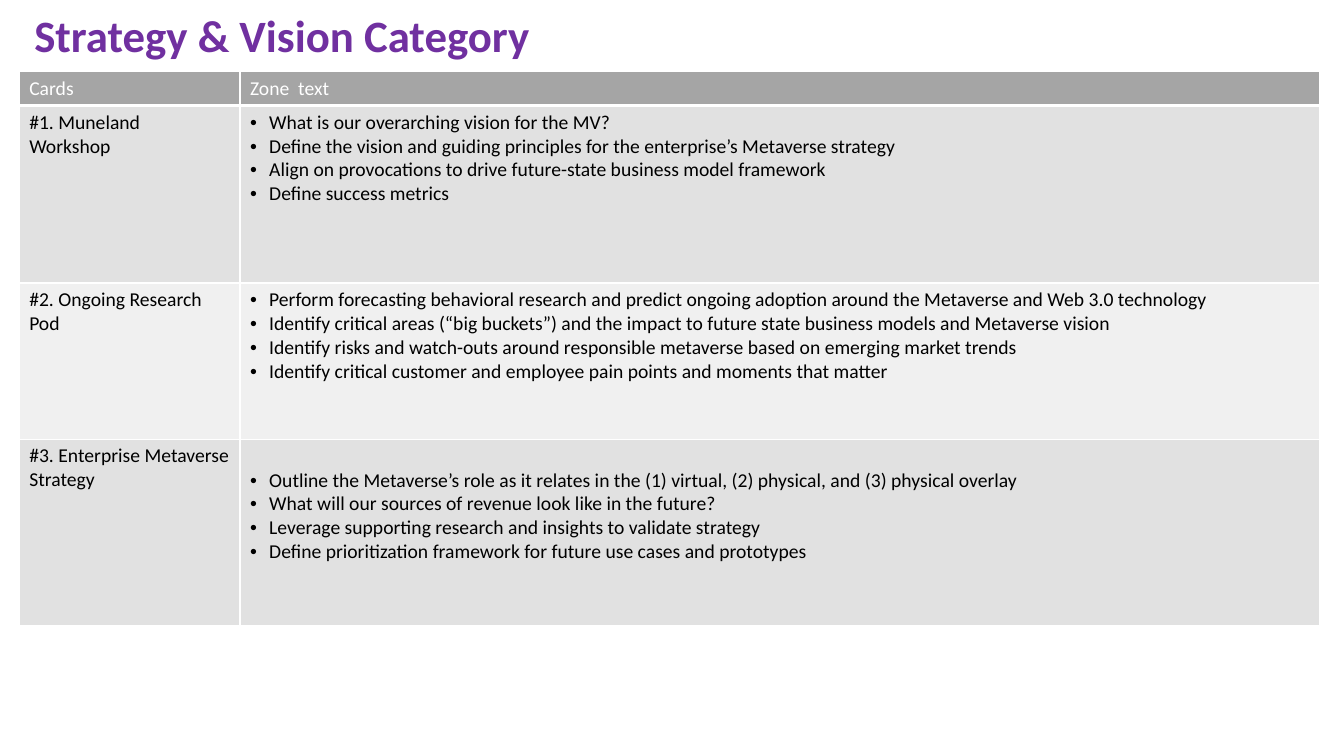
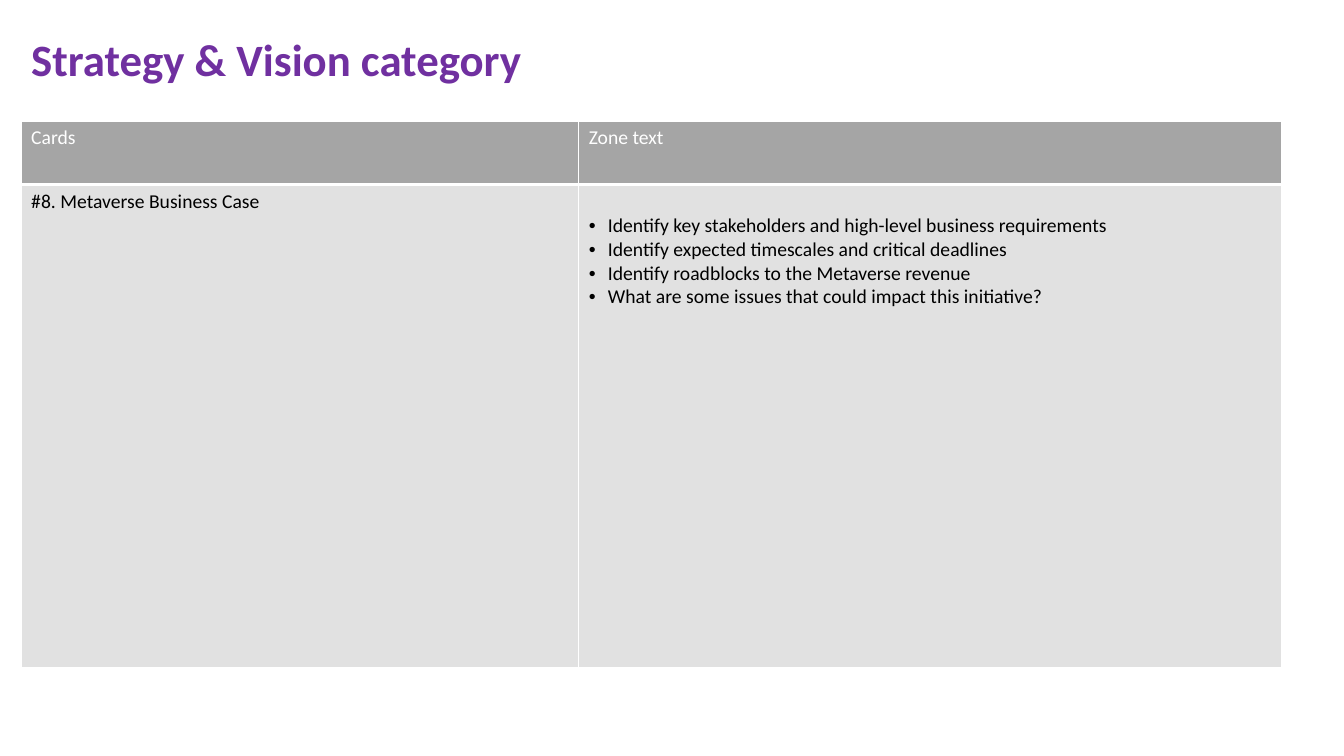
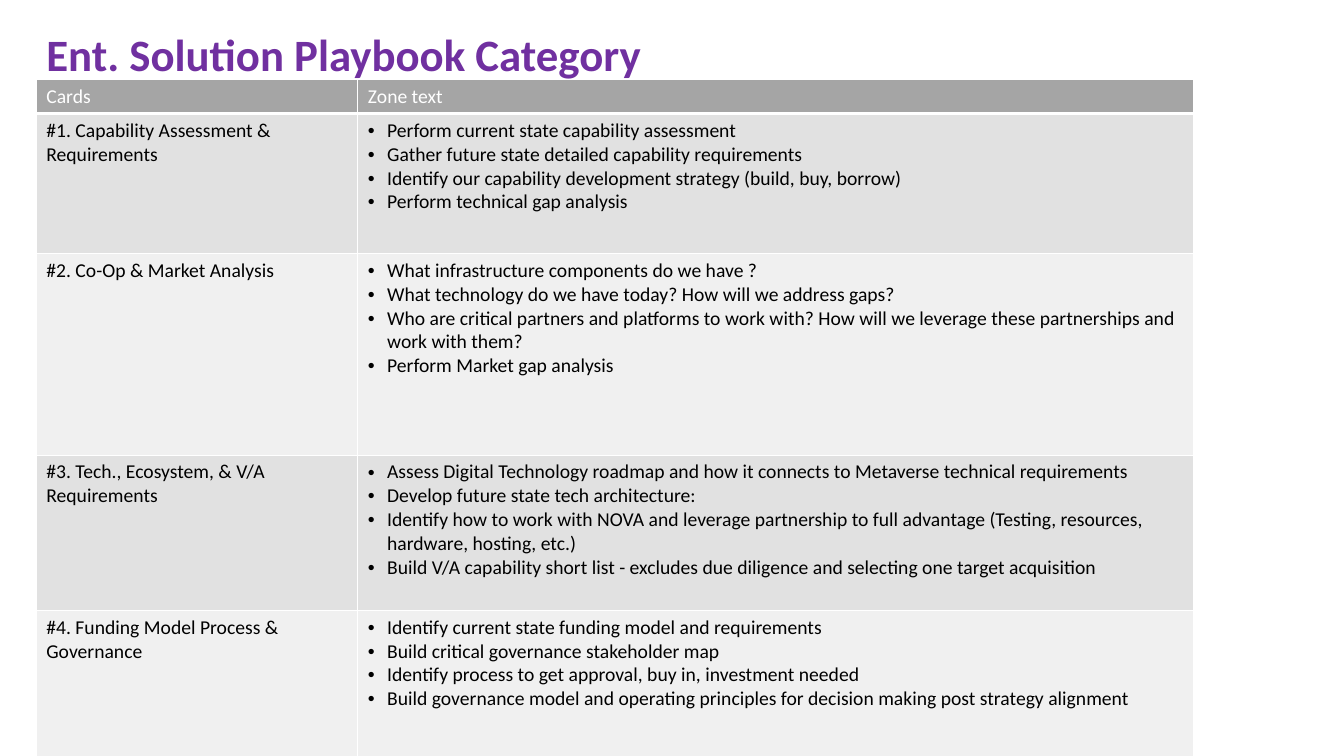
from lxml import etree
from pptx import Presentation
from pptx.dml.color import RGBColor
from pptx.enum.text import MSO_ANCHOR, MSO_AUTO_SIZE, PP_ALIGN
from pptx.oxml.ns import qn
from pptx.util import Inches, Pt

LEFT = PP_ALIGN.LEFT
MIDDLE = MSO_ANCHOR.MIDDLE
NO_AUTOFIT = MSO_AUTO_SIZE.NONE

PURPLE = RGBColor(0x70, 0x30, 0xA0)
WHITE = RGBColor(0xFF, 0xFF, 0xFF)
BLACK = RGBColor(0, 0, 0)
HEADER_GREY = RGBColor(0xA5, 0xA5, 0xA5)
BAND_GREYS = (RGBColor(0xE1, 0xE1, 0xE1), RGBColor(0xF0, 0xF0, 0xF0))

FONT = "Calibri"
TITLE_ONLY = 5
TITLE_SIZE = (12.5, 0.88)
BULLET_INDENT = 0.19
CELL_TOP = 0.05
LOWERED_TOP = 0.29  # top margin plus one line of text

# Each card: name, zone items, top margin of the zone cell
VISION_CARDS = [
    ("#1. Muneland\nWorkshop", [
        "What is our overarching vision for the MV?",
        "Define the vision and guiding principles for the enterprise’s Metaverse strategy",
        "Align on provocations to drive future-state business model framework",
        "Define success metrics",
    ], CELL_TOP),
    ("#2. Ongoing Research Pod", [
        "Perform forecasting behavioral research and predict ongoing adoption "
        "around the Metaverse and Web 3.0 technology",
        "Identify critical areas (“big buckets”) and the impact to future state "
        "business models and Metaverse vision",
        "Identify risks and watch-outs around responsible metaverse based on emerging market trends",
        "Identify critical customer and employee pain points and moments that matter",
    ], CELL_TOP),
    ("#3. Enterprise Metaverse Strategy", [
        "Outline the Metaverse’s role as it relates in the (1) virtual, (2) physical, "
        "and (3) physical overlay",
        "What will our sources of revenue look like in the future?",
        "Leverage supporting research and insights to validate strategy",
        "Define prioritization framework for future use cases and prototypes",
    ], LOWERED_TOP),
]

BUSINESS_CASE_CARDS = [
    ("#8. Metaverse Business Case", [
        "Identify key stakeholders and high-level business requirements",
        "Identify expected timescales and critical deadlines",
        "Identify roadblocks to the Metaverse revenue",
        "What are some issues that could impact this initiative?",
    ], LOWERED_TOP),
]

PLAYBOOK_CARDS = [
    ("#1. Capability Assessment & Requirements", [
        "Perform current state capability assessment",
        "Gather future state detailed capability requirements",
        "Identify our capability development strategy (build, buy, borrow)",
        "Perform technical gap analysis",
    ], CELL_TOP),
    ("#2. Co-Op & Market Analysis", [
        "What infrastructure components do we have ?",
        "What technology do we have today? How will we address gaps?",
        "Who are critical partners and platforms to work with? How will we leverage "
        "these partnerships and work with them?",
        "Perform Market gap analysis",
    ], CELL_TOP),
    ("#3. Tech., Ecosystem, & V/A Requirements", [
        "Assess Digital Technology roadmap and how it connects to Metaverse technical requirements",
        "Develop future state tech architecture:",
        "Identify how to work with NOVA and leverage partnership to full advantage "
        "(Testing, resources, hardware, hosting, etc.)",
        "Build V/A capability short list - excludes due diligence and selecting one "
        "target acquisition",
    ], CELL_TOP),
    ("#4. Funding Model Process & Governance", [
        "Identify current state funding model and requirements",
        "Build critical governance stakeholder map",
        "Identify process to get approval, buy in, investment needed",
        "Build governance model and operating principles for decision making post "
        "strategy alignment",
    ], CELL_TOP),
]


def add_run(paragraph, text, size, color, bold=False):
    run = paragraph.add_run()
    run.text = text
    run.font.name = FONT
    run.font.size = Pt(size)
    run.font.bold = bold
    run.font.color.rgb = color


def add_bullet(paragraph):
    props = paragraph._p.get_or_add_pPr()
    props.set("marL", str(Inches(BULLET_INDENT)))
    props.set("indent", str(-Inches(BULLET_INDENT)))
    etree.SubElement(props, qn("a:buFont"), typeface="Arial")
    etree.SubElement(props, qn("a:buChar"), char="•")


def style_cell(cell, fill, bottom_width=1):
    """White borders first, then the fill, as the schema orders them."""
    props = cell._tc.get_or_add_tcPr()
    for side, width in (("L", 1), ("R", 1), ("T", 1), ("B", bottom_width)):
        border = etree.SubElement(props, qn("a:ln" + side), w=str(Pt(width)))
        paint = etree.SubElement(border, qn("a:solidFill"))
        etree.SubElement(paint, qn("a:srgbClr"), val=str(WHITE))
    cell.fill.solid()
    cell.fill.fore_color.rgb = fill


def fill_cell(cell, lines, color, bulleted=False):
    frame = cell.text_frame
    for index, line in enumerate(lines):
        paragraph = frame.add_paragraph() if index else frame.paragraphs[0]
        if bulleted:
            add_bullet(paragraph)
        for part_index, part in enumerate(line.split("\n")):
            if part_index:
                paragraph.add_line_break()
            add_run(paragraph, part, 14, color)


def place_title(slide, text, left, top):
    title = slide.shapes.title
    title.left, title.top = Inches(left), Inches(top)
    title.width, title.height = (Inches(side) for side in TITLE_SIZE)
    frame = title.text_frame
    frame.auto_size = NO_AUTOFIT
    frame.word_wrap = True
    frame.vertical_anchor = MIDDLE
    heading = frame.paragraphs[0]
    heading.alignment = LEFT
    heading.line_spacing = 0.9
    add_run(heading, text, 32, PURPLE, bold=True)


def place_card_table(slide, left, top, widths, heights, zone_header, cards):
    frame = slide.shapes.add_table(
        len(heights), len(widths), Inches(left), Inches(top),
        Inches(sum(widths)), Inches(sum(heights)))
    table = frame.table
    table.first_row = table.horz_banding = False
    for column, width in zip(table.columns, widths):
        column.width = Inches(width)
    for row, height in zip(table.rows, heights):
        row.height = Inches(height)

    # Header row
    for column, header in enumerate(("Cards", zone_header)):
        cell = table.cell(0, column)
        style_cell(cell, HEADER_GREY, bottom_width=3)
        fill_cell(cell, [header], WHITE)

    # One banded row for each card
    for index, (card, zone_items, zone_top) in enumerate(cards):
        card_cell, zone_cell = table.cell(index + 1, 0), table.cell(index + 1, 1)
        for cell in (card_cell, zone_cell):
            style_cell(cell, BAND_GREYS[index % 2])
        fill_cell(card_cell, [card], BLACK)
        fill_cell(zone_cell, zone_items, BLACK, bulleted=True)
        zone_cell.margin_top = Inches(zone_top)


def add_category_slide(deck, title, title_at, table_at, widths, heights, zone_header, cards):
    slide = deck.slides.add_slide(deck.slide_layouts[TITLE_ONLY])
    place_title(slide, title, *title_at)
    place_card_table(slide, *table_at, widths, heights, zone_header, cards)


def main():
    deck = Presentation()
    deck.slide_width, deck.slide_height = Inches(13.33), Inches(7.5)
    add_category_slide(
        deck, "Strategy & Vision Category", (0.24, -0.06), (0.19, 0.71),
        (2.19, 10.71), (0.33, 1.76, 1.55, 1.85), "Zone  text", VISION_CARDS)
    add_category_slide(
        deck, "Strategy & Vision category", (0.21, 0.18), (0.21, 1.2),
        (5.53, 6.97), (0.63, 4.79), "Zone text", BUSINESS_CASE_CARDS)
    add_category_slide(
        deck, "Ent. Solution Playbook Category", (0.36, 0.13), (0.36, 0.79),
        (3.19, 8.29), (0.33, 1.39, 2, 1.54, 1.57), "Zone text", PLAYBOOK_CARDS)
    deck.save("out.pptx")


if __name__ == "__main__":
    main()
